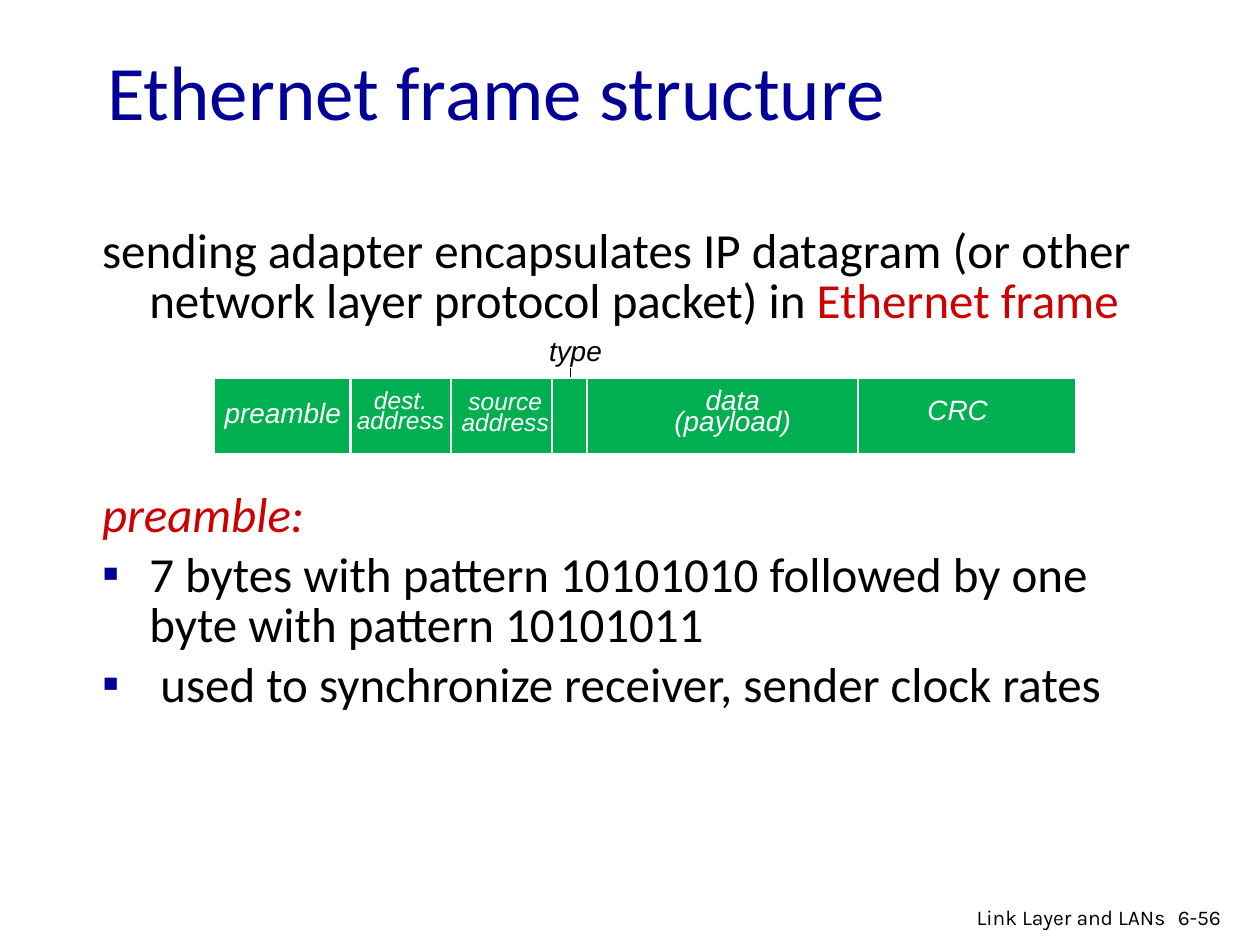
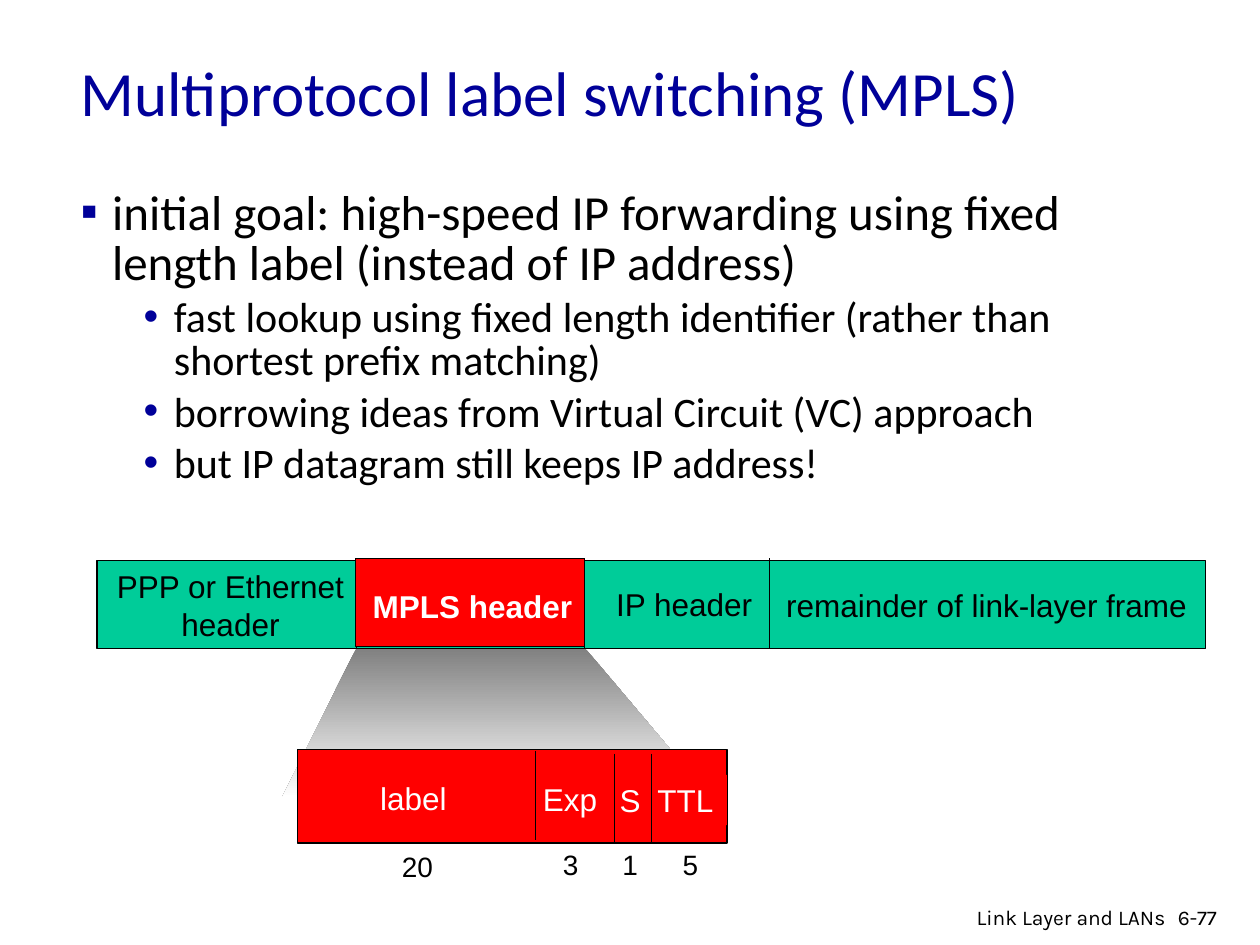
from lxml import etree
from pptx import Presentation
from pptx.dml.color import RGBColor
from pptx.enum.shapes import MSO_CONNECTOR, MSO_SHAPE
from pptx.enum.text import MSO_ANCHOR, MSO_AUTO_SIZE, PP_ALIGN
from pptx.oxml.ns import qn
from pptx.util import Pt

LEFT, CENTER, RIGHT = PP_ALIGN.LEFT, PP_ALIGN.CENTER, PP_ALIGN.RIGHT
TOP, MIDDLE = MSO_ANCHOR.TOP, MSO_ANCHOR.MIDDLE
FIXED, GROW = MSO_AUTO_SIZE.NONE, MSO_AUTO_SIZE.SHAPE_TO_FIT_TEXT
RECTANGLE, STRAIGHT = MSO_SHAPE.RECTANGLE, MSO_CONNECTOR.STRAIGHT
TITLE_FONT, LABEL_FONT, FOOTER_FONT = "Calibri", "Arial", "Karla"
SQUARE, DOT = "▪", "•"
COLORS = {
    "navy": "000099",
    "black": "000000",
    "white": "FFFFFF",
    "crimson": "CC0000",
    "frame green": "00B050",
    "packet green": "00CC99",
    "red": "FF0000",
    "gray": "808080",
}


def color(name):
    return RGBColor.from_string(COLORS[name])


def points(box):
    return [Pt(length) for length in box]


def shift(box, left, top):
    """Turn a box relative to (left, top) into a box on the slide."""
    return box[0] + left, box[1] + top, box[2], box[3]


def add_run(paragraph, text, size, ink, font, bold=False, italic=False):
    run = paragraph.add_run()
    run.text = text
    run.font.size = Pt(size)
    run.font.name = font
    run.font.color.rgb = color(ink)
    run.font.bold = bold
    run.font.italic = italic


def next_paragraph(text_frame, index):
    return text_frame.paragraphs[0] if index == 0 else text_frame.add_paragraph()


def set_bullet(paragraph, bullet):
    properties = paragraph._p.get_or_add_pPr()
    if not bullet:
        etree.SubElement(properties, qn("a:buNone"))
        return
    bullet_color = etree.SubElement(properties, qn("a:buClr"))
    etree.SubElement(bullet_color, qn("a:srgbClr"), val=COLORS["navy"])
    etree.SubElement(properties, qn("a:buFont"), typeface=LABEL_FONT)
    etree.SubElement(properties, qn("a:buChar"), char=bullet)


def add_label(slide, box, lines, size=16, ink="black", font=LABEL_FONT, align=LEFT,
              spacing=None, wrap=False, fill=None, auto_size=GROW, **emphasis):
    """Add one paragraph a line, on a filled rectangle if fill is given."""
    if fill:
        shape = add_rectangle(slide, box, fill)
    else:
        shape = slide.shapes.add_textbox(*points(box))
    text_frame = shape.text_frame
    text_frame.word_wrap = wrap
    text_frame.auto_size = auto_size
    text_frame.vertical_anchor = TOP
    for index, line in enumerate(lines):
        paragraph = next_paragraph(text_frame, index)
        paragraph.alignment = align
        if spacing:
            paragraph.line_spacing = Pt(spacing)
        add_run(paragraph, line, size, ink, font, **emphasis)


def add_rectangle(slide, box, fill, outline=None):
    shape = slide.shapes.add_shape(RECTANGLE, *points(box))
    shape.shadow.inherit = False
    shape.fill.solid()
    shape.fill.fore_color.rgb = color(fill)
    if outline:
        shape.line.color.rgb = color(outline)
        shape.line.width = Pt(0.75)
    else:
        shape.line.fill.background()
    return shape


def add_divider(slide, x, top, bottom, ink="black", width=0.75):
    connector = slide.shapes.add_connector(STRAIGHT, *points((x, top, x, bottom)))
    connector.line.color.rgb = color(ink)
    connector.line.width = Pt(width)
    etree.SubElement(connector._element.spPr, qn("a:effectLst"))


def place(placeholder, box, anchor):
    placeholder.left, placeholder.top, placeholder.width, placeholder.height = points(box)
    text_frame = placeholder.text_frame
    text_frame.auto_size = FIXED
    text_frame.word_wrap = True
    text_frame.vertical_anchor = anchor
    return text_frame


def add_title(slide, box, text, size):
    paragraph = place(slide.shapes.title, box, MIDDLE).paragraphs[0]
    paragraph.alignment = LEFT
    add_run(paragraph, text, size, "navy", TITLE_FONT)


def add_body(slide, box, items, indents):
    """Items are (level, bullet, space before, runs); a run is (text, ink, italic).

    Indents holds (left margin, hanging indent, text size) for each level.
    """
    text_frame = place(slide.placeholders[1], box, TOP)
    for index, (level, bullet, space_before, runs) in enumerate(items):
        margin, hanging, size = indents[level]
        paragraph = next_paragraph(text_frame, index)
        paragraph.level = level
        paragraph.alignment = LEFT
        paragraph.line_spacing = 0.85
        paragraph.space_before = Pt(space_before)
        properties = paragraph._p.get_or_add_pPr()
        properties.set("marL", str(Pt(margin)))
        properties.set("indent", str(-Pt(hanging)))
        set_bullet(paragraph, bullet)
        for text, ink, italic in runs:
            add_run(paragraph, text, size, ink, TITLE_FONT, italic=italic)


def add_footer(slide, number):
    style = dict(size=12, font=FOOTER_FONT, wrap=True, auto_size=FIXED)
    add_label(slide, (666, 513.4, 43.2, 21.6), [number], **style)
    add_label(slide, (501.8, 513.4, 171.4, 18.7), ["Link Layer and LANs"],
              align=RIGHT, **style)


def add_ethernet_frame(slide, box):
    left, top, _, _ = box
    add_divider(slide, left + 203.8, top - 5.8, top + 10)
    add_rectangle(slide, box, "frame green", "white")
    for x, bottom in ((77.8, 43), (135.4, 46), (193, 43), (213.1, 46), (367.9, 49)):
        add_divider(slide, left + x, top - 0.5, top + bottom, "white", 1.5)
    fields = (
        ((73.4, 5, 66.2, 32.4), ["dest.", "address"], 14),
        ((133.2, 5.8, 66.2, 32.4), ["source", "address"], 14),
        ((241.9, 6.5, 108.7, 32.4), ["data (payload)"], 16),
        ((391, 12.2, 67.7, 20.9), ["CRC"], 16),
        ((-2.9, 13.7, 84.2, 20.9), ["preamble"], 16),
    )
    for field_box, lines, size in fields:
        add_label(slide, shift(field_box, left, top), lines, size, "white",
                  align=CENTER, spacing=12, wrap=True, italic=True)
    add_label(slide, shift((184.3, -28.8, 60.5, 26.6), left, top), ["type"],
              wrap=True, italic=True)


def add_funnel(slide, box):
    """Draw the fading wedge between the MPLS header and its fields."""
    left, top, width, height = box
    outline = [(42.5, 0), (0, height), (width, height), (172.8, 0)]
    corners = [(Pt(left + x), Pt(top + y)) for x, y in outline]
    builder = slide.shapes.build_freeform(*corners[0])
    builder.add_line_segments(corners[1:], close=True)
    funnel = builder.convert_to_shape()
    funnel.shadow.inherit = False
    funnel.line.fill.background()
    funnel.fill.gradient()
    funnel.fill.gradient_angle = 270
    for stop, name, position in zip(funnel.fill.gradient_stops, ("gray", "white"), (0, 1)):
        stop.color.rgb = color(name)
        stop.position = position


def add_packet(slide, box):
    left, top, _, height = box
    add_rectangle(slide, box, "packet green", "black")
    for x in (148.3, 278.6, 384.5):
        add_divider(slide, left + x, top - 1.4, top + 50)
    add_rectangle(slide, shift((147.6, -1.4, 131, height), left, top), "red", "black")
    headers = (
        ((1.4, 0, 149.8, height), ["PPP or Ethernet", "header"], "black", False),
        ((289.4, 10.1, 92.2, 28.8), ["IP header"], "black", False),
        ((386.6, 10.8, 243.4, 28.8), ["remainder of link-layer frame"], "black", False),
        ((150.5, 11.5, 128.2, 28.8), ["MPLS header"], "white", True),
    )
    for header_box, lines, ink, bold in headers:
        add_label(slide, shift(header_box, left, top), lines, 18, ink,
                  align=CENTER, bold=bold)


def add_mpls_fields(slide, box):
    left, top, _, _ = box
    add_rectangle(slide, box, "red", "black")
    fields = (
        ("label", 40.3, 13, 52.6),
        ("Exp", 133.2, 13.7, 45.4),
        ("S", 177.1, 14.4, 26.6),
        ("TTL", 198.7, 14.4, 46.8),
    )
    for name, x, y, width in fields:
        add_label(slide, shift((x, y, width, 28.8), left, top), [name], 18, "white",
                  fill="red")
    for x, start, end in ((136.1, 0.7, 51.8), (181.4, 2.2, 54), (202.3, 2.2, 53.3)):
        add_divider(slide, left + x, top + start, top + end)
    bit_counts = (("20", 52.6, 53.3, 32.4), ("3", 144.7, 52.6, 23),
                  ("1", 178.6, 52.6, 23), ("5", 213.1, 52.6, 23))
    for count, x, y, width in bit_counts:
        add_label(slide, shift((x, y, width, 26.6), left, top), [count])


def add_ethernet_slide(presentation):
    slide = presentation.slides.add_slide(presentation.slide_layouts[1])
    add_title(slide, (54, 27.4, 612, 48.2), "Ethernet frame structure", 44)
    items = [
        (0, None, 5.6, [
            ("sending adapter encapsulates IP datagram (or other network layer "
             "protocol packet) in ", "black", False),
            ("Ethernet frame", "crimson", False)]),
        (0, None, 94, [("preamble:", "crimson", True)]),
        (0, SQUARE, 5.6, [("7 bytes with pattern 10101010 followed by one byte with "
                           "pattern 10101011", "black", False)]),
        (0, SQUARE, 5.6, [(" used to synchronize receiver, sender clock rates",
                           "black", False)]),
    ]
    add_body(slide, (51.1, 126.7, 612, 342), items, [(27, 27, 28)])
    add_ethernet_frame(slide, (122.4, 216, 492.5, 43.2))
    add_footer(slide, "6-56")


def add_mpls_slide(presentation):
    slide = presentation.slides.add_slide(presentation.slide_layouts[1])
    add_title(slide, (38.9, 15.1, 612, 74.2), "Multiprotocol label switching (MPLS)", 36)
    goal = ("initial goal: high-speed IP forwarding using fixed length label "
            "(instead of IP address)")
    details = (
        "fast lookup using fixed length identifier (rather than shortest prefix matching)",
        "borrowing ideas from Virtual Circuit (VC) approach",
        "but IP datagram still keeps IP address!",
    )
    items = [(0, SQUARE, 5.6, [(goal, "black", False)])]
    items += [(1, DOT, 4.8, [(detail, "black", False)]) for detail in details]
    add_body(slide, (38.9, 105.1, 612, 365.8), items, [(18, 18, 28), (53.3, 17.3, 24)])
    add_funnel(slide, (161.3, 370.1, 244.8, 85.5))
    add_packet(slide, (55.4, 320.4, 633.6, 50.4))
    add_mpls_fields(slide, (169.9, 428.4, 245.5, 53.3))
    add_footer(slide, "6-77")


def main():
    presentation = Presentation()
    presentation.slide_width, presentation.slide_height = Pt(720), Pt(540)
    add_ethernet_slide(presentation)
    add_mpls_slide(presentation)
    presentation.save("out.pptx")


if __name__ == "__main__":
    main()
